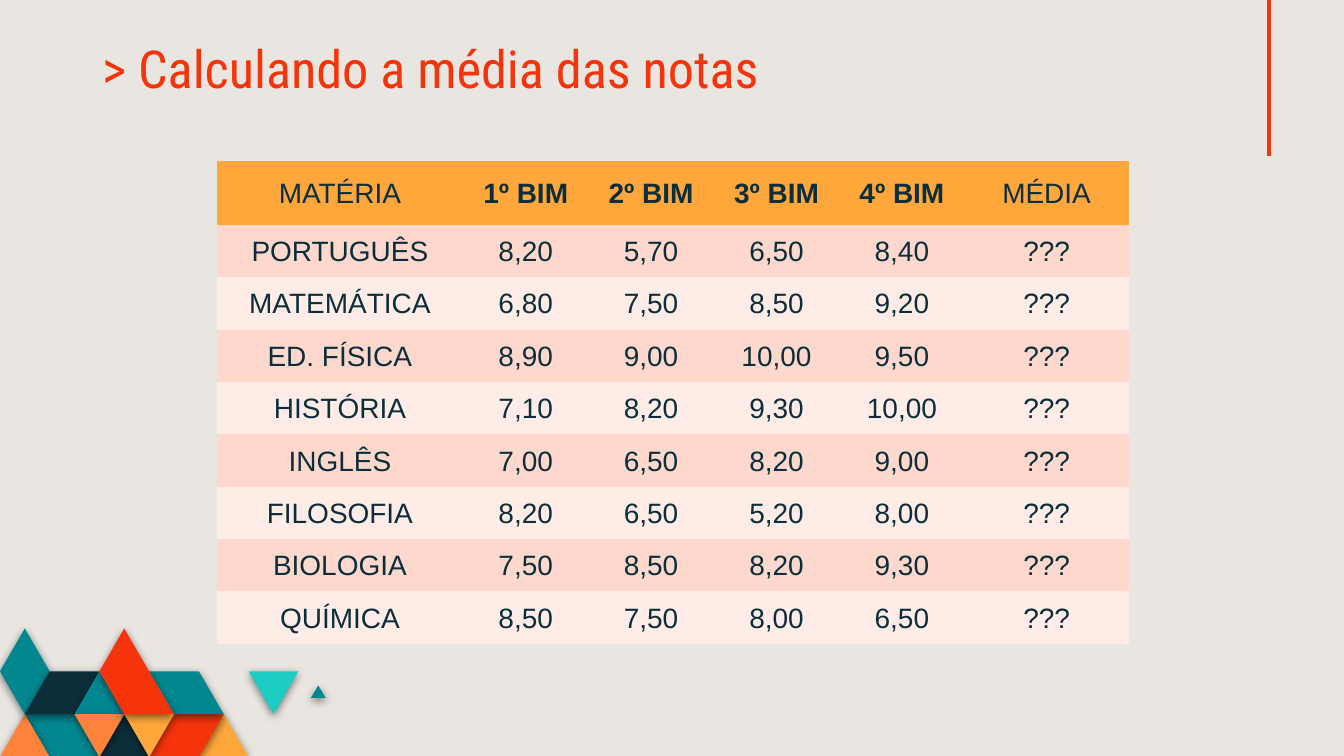
from typing import NamedTuple

from lxml import etree
from pptx import Presentation
from pptx import util as u
from pptx.dml.color import RGBColor
from pptx.enum import shapes, text
from pptx.oxml import parse_xml
from pptx.oxml.ns import nsdecls, qn
from pptx.util import Cm

BACKGROUND = RGBColor(0xE9, 0xE6, 0xE1)
RED = RGBColor(0xF5, 0x34, 0x0B)
AMBER = RGBColor(0xFF, 0xA7, 0x3B)
ORANGE = RGBColor(0xFF, 0x82, 0x3B)
TEAL = RGBColor(0x01, 0x87, 0x90)
TURQUOISE = RGBColor(0x1D, 0xCD, 0xC3)
NAVY = RGBColor(0x0C, 0x2E, 0x3A)
BANDS = (RGBColor(0xFF, 0xD8, 0xCD), RGBColor(0xFF, 0xEC, 0xE7))

# The mosaic sits on a triangular grid: half a side across, one height down
GRID_TOP, GRID_STEP_X, GRID_STEP_Y = 11.88, 0.47, 0.81
NO_STYLE_NO_GRID = "{2D5ABB26-0587-4C30-8999-92F81FD0307C}"


class Tile(NamedTuple):
    color: RGBColor
    corners: list[tuple[float, float]]  # (column, row) on the mosaic grid


class Subject(NamedTuple):
    name: str
    grades: tuple[str, str, str, str]
    average: str = "???"


TILES = [
    Tile(AMBER, [(10, 3), (9, 2), (8, 3)]),
    Tile(RED, [(9, 2), (7, 2), (6, 3), (8, 3)]),
    Tile(TEAL, [(4, 3), (3, 2), (1, 2), (2, 3)]),
    Tile(ORANGE, [(2, 3), (1, 2), (0, 3)]),
    Tile(NAVY, [(6, 3), (5, 2), (4, 3)]),
    Tile(TEAL, [(9, 2), (8, 1), (6, 1), (7, 2)]),
    Tile(TEAL, [(13.1, 1.62), (12.8, 1.33), (12.5, 1.62)]),
    Tile(TURQUOISE, [(12, 1), (10, 1), (11, 2)]),
    Tile(TEAL, [(2, 1), (1, 0), (0, 1), (1, 2)]),
    Tile(NAVY, [(4, 1), (2, 1), (1, 2), (3, 2)]),
    Tile(TEAL, [(5, 2), (4, 1), (3, 2)]),
    Tile(ORANGE, [(5, 2), (3, 2), (4, 3)]),
    Tile(AMBER, [(7, 2), (5, 2), (6, 3)]),
    Tile(RED, [(7, 2), (5, 0), (4, 1), (5, 2)]),
]

HEADER = ("MATÉRIA", "1º BIM", "2º BIM", "3º BIM", "4º BIM", "MÉDIA")
SUBJECTS = [
    Subject("PORTUGUÊS", ("8,20", "5,70", "6,50", "8,40")),
    Subject("MATEMÁTICA", ("6,80", "7,50", "8,50", "9,20")),
    Subject("ED. FÍSICA", ("8,90", "9,00", "10,00", "9,50")),
    Subject("HISTÓRIA", ("7,10", "8,20", "9,30", "10,00")),
    Subject("INGLÊS", ("7,00", "6,50", "8,20", "9,00")),
    Subject("FILOSOFIA", ("8,20", "6,50", "5,20", "8,00")),
    Subject("BIOLOGIA", ("7,50", "8,50", "8,20", "9,30")),
    Subject("QUÍMICA", ("8,50", "7,50", "8,00", "6,50")),
]
COLUMN_WIDTHS = [4.65] + [2.37] * 4 + [3.1]
ROW_HEIGHTS = [1.21] + [0.99] * len(SUBJECTS)


def add_run(paragraph, content: str, font_name: str, size: float,
            color: RGBColor, bold: bool = False) -> None:
    run = paragraph.add_run()
    run.text = content
    run.font.name = font_name
    run.font.size = u.Pt(size)
    run.font.color.rgb = color
    run.font.bold = bold


def add_accent_line(slide) -> None:
    line = slide.shapes.add_connector(
        shapes.MSO_CONNECTOR.STRAIGHT, Cm(23.98), 0, Cm(23.98), Cm(2.95))
    line.line.color.rgb = RED
    line.line.width = u.Pt(2.25)
    etree.SubElement(line._element.spPr, qn("a:effectLst"))


def add_tile(slide, tile: Tile) -> None:
    points = [(Cm(column * GRID_STEP_X), Cm(GRID_TOP + row * GRID_STEP_Y))
              for column, row in tile.corners]
    builder = slide.shapes.build_freeform(*points[0])
    builder.add_line_segments(points[1:], close=True)
    shape = builder.convert_to_shape()
    shape.fill.solid()
    shape.fill.fore_color.rgb = tile.color
    shape.line.fill.background()
    shape.shadow.inherit = False
    shape._element.spPr.find(qn("a:effectLst")).append(parse_xml(
        f'<a:outerShdw {nsdecls("a")} blurRad="{u.Pt(4.5)}" '
        f'dist="{u.Pt(1.5)}" dir="5400000" algn="bl" rotWithShape="0">'
        '<a:srgbClr val="000000"><a:alpha val="49000"/></a:srgbClr>'
        '</a:outerShdw>'))


def fill_title(title) -> None:
    title.left, title.top = Cm(1.45), Cm(0.58)
    title.width, title.height = Cm(13.7), Cm(1.6)
    frame = title.text_frame
    frame.auto_size = text.MSO_AUTO_SIZE.NONE
    frame.word_wrap = True
    frame.vertical_anchor = text.MSO_ANCHOR.MIDDLE
    frame.margin_left = Cm(0.48)
    frame.margin_right = frame.margin_top = frame.margin_bottom = Cm(0.25)
    paragraph = frame.paragraphs[0]
    paragraph.alignment = text.PP_ALIGN.LEFT
    paragraph.line_spacing = 0.8
    paragraph.space_before = u.Pt(0)
    add_run(paragraph, "> Calculando a média das notas",
            "Roboto Condensed", 28, RED)


def fill_cell(cell, content: str, color: RGBColor, bold: bool) -> None:
    cell.fill.solid()
    cell.fill.fore_color.rgb = color
    cell.vertical_anchor = text.MSO_ANCHOR.MIDDLE
    cell.margin_left = cell.margin_right = cell.margin_top = Cm(0.03)
    cell.margin_bottom = 0
    paragraph = cell.text_frame.paragraphs[0]
    paragraph.alignment = text.PP_ALIGN.CENTER
    add_run(paragraph, content, "Arial", 15, NAVY, bold)


def add_grades_table(slide) -> None:
    rows = [HEADER] + [(s.name, *s.grades, s.average) for s in SUBJECTS]
    table = slide.shapes.add_table(
        len(rows), len(HEADER), Cm(4.1), Cm(3.04),
        Cm(sum(COLUMN_WIDTHS)), Cm(sum(ROW_HEIGHTS))).table
    table._tbl.tblPr.find(qn("a:tableStyleId")).text = NO_STYLE_NO_GRID
    for column, width in zip(table.columns, COLUMN_WIDTHS):
        column.width = Cm(width)
    for row, height in zip(table.rows, ROW_HEIGHTS):
        row.height = Cm(height)
    for r, values in enumerate(rows):
        color = BANDS[(r - 1) % 2] if r else AMBER
        for c, value in enumerate(values):
            is_term = r == 0 and 0 < c < len(HEADER) - 1
            fill_cell(table.cell(r, c), value, color, bold=is_term)


def main() -> None:
    presentation = Presentation()
    presentation.slide_width, presentation.slide_height = Cm(25.4), Cm(14.29)
    slide = presentation.slides.add_slide(presentation.slide_layouts[0])
    slide.background.fill.solid()
    slide.background.fill.fore_color.rgb = BACKGROUND

    subtitle = slide.placeholders[1]._element
    subtitle.getparent().remove(subtitle)

    add_accent_line(slide)
    for tile in TILES:
        add_tile(slide, tile)
    fill_title(slide.shapes.title)
    add_grades_table(slide)
    presentation.save("out.pptx")


if __name__ == "__main__":
    main()
